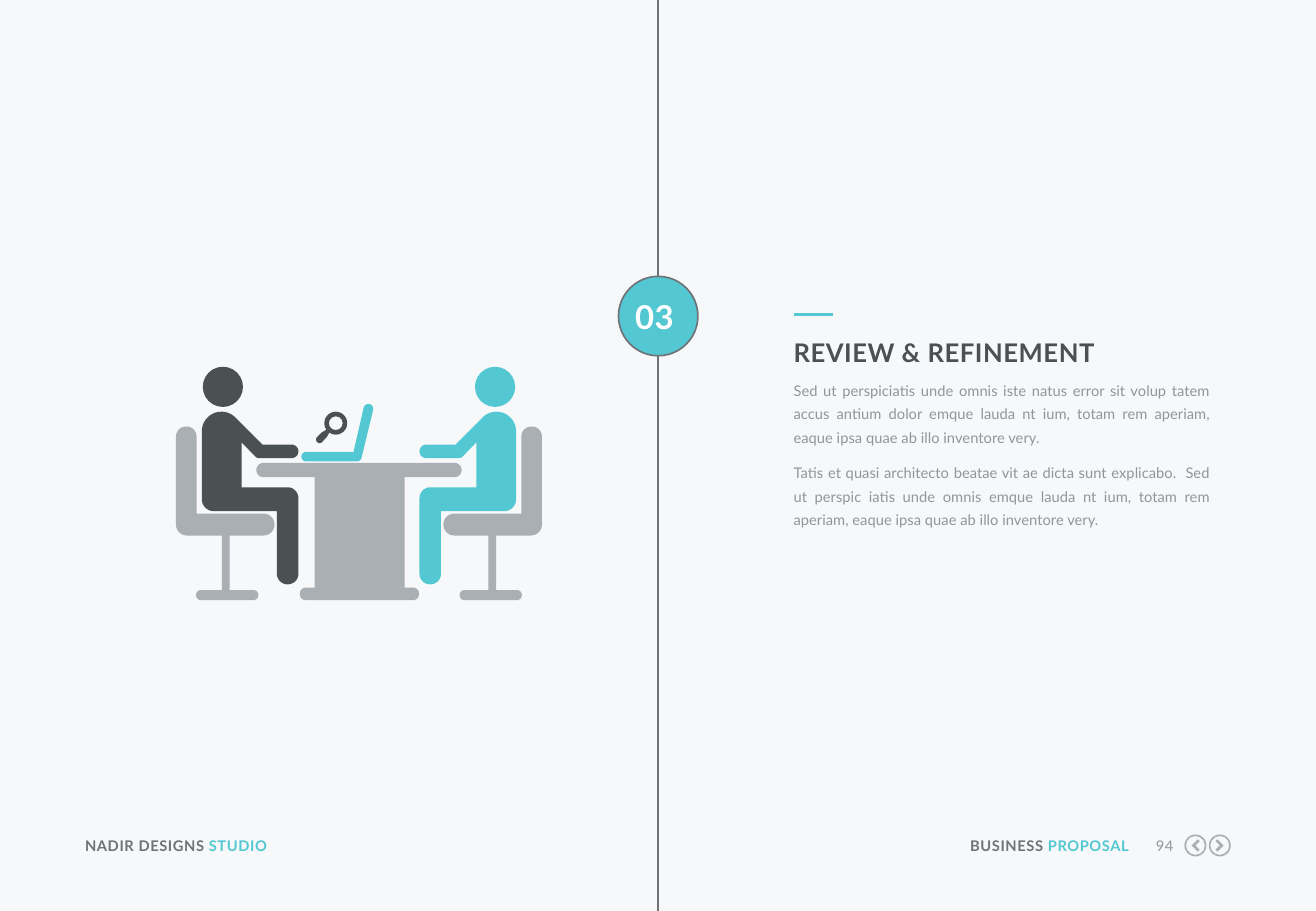
from dataclasses import dataclass
from math import acos, hypot, pi, tan

from lxml.etree import SubElement
from pptx import Presentation
from pptx.dml.color import RGBColor
from pptx.enum.shapes import MSO_CONNECTOR as Connector, MSO_SHAPE as Shape
from pptx.enum.text import MSO_AUTO_SIZE as AutoSize, PP_ALIGN as Align
from pptx.oxml.ns import qn
from pptx.util import Cm, Pt

COLORS = {
    "page": "F6F8FA", "teal": "53C8D2", "dark": "4B5050", "silver": "AAAFB4",
    "slate": "6E7378", "body": "91969B", "white": "FFFFFF",
}
SLIDE_W, SLIDE_H = 27.51, 19.05
SPINE_X = 13.76
MIRROR_SUM = 15.01  # left x + right x of the two facing seats
HEAD_SIZE = 0.84
ICON_SIZE = 0.46

Corner = tuple[float, float, float]  # x, y, rounding radius
Outline = list[Corner]

CHAIR: Outline = [
    (3.68, 8.92, 0.21), (4.11, 8.92, 0.21), (4.11, 10.74, 0), (5.74, 10.74, 0.23),
    (5.74, 11.2, 0.23), (4.8, 11.2, 0), (4.8, 12.34, 0), (5.4, 12.34, 0.1),
    (5.4, 12.55, 0.1), (4.1, 12.55, 0.1), (4.1, 12.34, 0.1), (4.64, 12.34, 0),
    (4.64, 11.2, 0), (3.68, 11.2, 0.23),
]
PERSON: Outline = [
    (4.22, 8.61, 0.41), (4.8, 8.61, 0.41), (5.49, 9.3, 0), (6.24, 9.3, 0.14),
    (6.24, 9.58, 0.14), (5.37, 9.58, 0.1), (5.05, 9.25, 0), (5.05, 10.19, 0),
    (6.24, 10.19, 0.23), (6.24, 12.22, 0.22), (5.79, 12.22, 0.22),
    (5.79, 10.69, 0), (4.22, 10.69, 0.25),
]
TABLE: Outline = [
    (5.36, 9.68, 0.15), (9.65, 9.68, 0.15), (9.65, 9.98, 0.15), (8.46, 9.98, 0),
    (8.46, 12.29, 0), (8.76, 12.29, 0.12), (8.76, 12.55, 0.12), (6.27, 12.55, 0.12),
    (6.27, 12.29, 0.12), (6.58, 12.29, 0), (6.58, 9.98, 0), (5.36, 9.98, 0.15),
]
LAPTOP: Outline = [
    (6.3, 9.45, 0.1), (7.39, 9.45, 0), (7.62, 8.45, 0.1), (7.83, 8.45, 0.1),
    (7.54, 9.65, 0.1), (6.3, 9.65, 0.1),
]
LENS_HANDLE: Outline = [
    (6.73, 9.04, 0), (6.85, 8.97, 0), (6.9, 9.02, 0), (6.83, 9.14, 0),
    (6.68, 9.3, 0.07), (6.58, 9.19, 0.07),
]
CHEVRON: Outline = [
    (-0.09, -0.09, 0), (-0.05, -0.13, 0), (0.08, 0, 0),
    (-0.05, 0.13, 0), (-0.09, 0.09, 0), (0, 0, 0),
]


@dataclass
class Label:
    box: tuple[float, float, float, float]
    paragraphs: list[list[tuple[str, str]]]  # runs as (text, color)
    size: float = 8.7
    bold: bool = True
    tracking: int = 30  # hundredths of a point
    align: Align = Align.LEFT
    leading: float | None = None


LABELS = [
    Label((1.78, 17.5, 5.36, 0.38), [[("NADIR DESIGNS ", "slate"), ("STUDIO", "teal")]]),
    Label((20.12, 17.5, 3.48, 0.38), [[("BUSINESS ", "slate"), ("PROPOSAL", "teal")]],
          align=Align.RIGHT),
    Label((23.9, 17.5, 0.63, 0.38), [[("94", "body")]], bold=False, align=Align.RIGHT),
    Label((13.18, 6.2, 1, 0.84), [[("03", "white")]], size=19.5, tracking=20,
          align=Align.CENTER),
    Label((16.59, 7.04, 8.74, 0.64), [[("REVIEW & REFINEMENT", "dark")]], size=15.2,
          leading=18.4),
    Label((16.59, 7.85, 8.71, 3.25), [
        [("Sed ut perspiciatis unde omnis iste natus error sit volup tatem accus antium "
          "dolor emque lauda nt ium, totam rem aperiam, eaque ipsa quae ab illo "
          "inventore very.", "body")],
        [("Tatis et quasi architecto beatae vit ae dicta sunt explicabo.  Sed ut perspic "
          "iatis unde omnis emque lauda nt ium, totam rem aperiam, eaque ipsa quae ab "
          "illo inventore very.", "body")],
    ], bold=False, tracking=0, align=Align.JUSTIFY, leading=14.1),
]


def rgb(name: str) -> RGBColor:
    return RGBColor.from_string(COLORS[name])


def paint(sp, color: str, line: str | None = None) -> None:
    sp.shadow.inherit = False
    sp.fill.solid()
    sp.fill.fore_color.rgb = rgb(color)
    if line:
        sp.line.color.rgb = rgb(line)
        sp.line.width = Pt(1)
    else:
        sp.line.fill.background()


def round_corners(outline: Outline, steps: int = 10) -> list[tuple[float, float]]:
    """Replace each corner that has a radius by points along its arc."""
    points = []
    for i, (x, y, radius) in enumerate(outline):
        if not radius:
            points.append((x, y))
            continue
        sides = []
        for nx, ny, _ in (outline[i - 1], outline[(i + 1) % len(outline)]):
            length = hypot(nx - x, ny - y)
            sides.append(((nx - x) / length, (ny - y) / length))
        (ax, ay), (bx, by) = sides
        angle = acos(ax * bx + ay * by)
        reach = radius / tan(angle / 2)
        inner = reach - radius * 4 / 3 * tan((pi - angle) / 4)
        for step in range(steps + 1):
            t = step / steps
            u = 1 - t
            a = u ** 3 * reach + 3 * u * u * t * inner
            b = t ** 3 * reach + 3 * t * t * u * inner
            points.append((x + a * ax + b * bx, y + a * ay + b * by))
    return points


def mirror(outline: Outline) -> Outline:
    return [(MIRROR_SUM - x, y, radius) for x, y, radius in outline]


def add_outline(s, outline: Outline, color: str) -> None:
    start, *rest = [(Cm(x), Cm(y)) for x, y in round_corners(outline)]
    builder = s.shapes.build_freeform(*start)
    builder.add_line_segments(rest, close=True)
    paint(builder.convert_to_shape(), color)


def add_round(s, kind: Shape, x: float, y: float, size: float, color: str,
              line: str | None = None, rim: float | None = None) -> None:
    sp = s.shapes.add_shape(kind, Cm(x), Cm(y), Cm(size), Cm(size))
    if rim is not None:
        sp.adjustments[0] = rim
    paint(sp, color, line)


def add_line(s, x1: float, y1: float, x2: float, y2: float, color: str, width: float) -> None:
    line = s.shapes.add_connector(Connector.STRAIGHT, Cm(x1), Cm(y1), Cm(x2), Cm(y2))
    line.line.color.rgb = rgb(color)
    line.line.width = Pt(width)
    SubElement(line._element.spPr, qn("a:effectLst"))


def add_label(s, label: Label) -> None:
    tf = s.shapes.add_textbox(*map(Cm, label.box)).text_frame
    tf.margin_left = tf.margin_top = tf.margin_right = tf.margin_bottom = 0
    tf.word_wrap = True
    tf.auto_size = AutoSize.SHAPE_TO_FIT_TEXT
    for i, runs in enumerate(label.paragraphs):
        p = tf.add_paragraph() if i else tf.paragraphs[0]
        p.alignment = label.align
        if label.leading:
            p.line_spacing = Pt(label.leading)
            p.space_after = Pt(6.5)
        for text, color in runs:
            r = p.add_run()
            r.text = text
            r.font.name = "Lato"
            r.font.size = Pt(label.size)
            r.font.bold = label.bold
            r.font.color.rgb = rgb(color)
            r._r.get_or_add_rPr().set("spc", str(label.tracking))


def add_nav_icon(s, cx: float, cy: float, direction: int) -> None:
    add_round(s, Shape.DONUT, cx - ICON_SIZE / 2, cy - ICON_SIZE / 2, ICON_SIZE,
              "silver", rim=0.07)
    add_outline(s, [(cx + direction * x, cy + y, r) for x, y, r in CHEVRON], "silver")


def add_meeting(s) -> None:
    add_outline(s, LAPTOP, "teal")
    add_outline(s, LENS_HANDLE, "dark")
    add_round(s, Shape.DONUT, 6.78, 8.61, 0.48, "dark", rim=0.2)
    head_x = 4.24
    add_outline(s, mirror(PERSON), "teal")
    add_round(s, Shape.OVAL, MIRROR_SUM - head_x - HEAD_SIZE, 7.67, HEAD_SIZE, "teal")
    add_outline(s, mirror(CHAIR), "silver")
    add_outline(s, PERSON, "dark")
    add_round(s, Shape.OVAL, head_x, 7.67, HEAD_SIZE, "dark")
    add_outline(s, CHAIR, "silver")
    add_outline(s, TABLE, "silver")


def main() -> None:
    prs = Presentation()
    prs.slide_width, prs.slide_height = Cm(SLIDE_W), Cm(SLIDE_H)
    s = prs.slides.add_slide(prs.slide_layouts[6])
    s.background.fill.solid()
    s.background.fill.fore_color.rgb = rgb("page")

    add_nav_icon(s, 24.99, 17.68, -1)
    add_nav_icon(s, 25.5, 17.68, 1)
    badge_top, badge_size = 5.78, 1.66
    add_round(s, Shape.OVAL, SPINE_X - badge_size / 2, badge_top, badge_size, "teal", "slate")
    add_line(s, SPINE_X, 0, SPINE_X, badge_top, "slate", 1)
    add_line(s, SPINE_X, badge_top + badge_size, SPINE_X, SLIDE_H, "slate", 1)
    add_meeting(s)
    add_line(s, 16.59, 6.58, 17.42, 6.58, "teal", 1.5)
    for label in LABELS:
        add_label(s, label)
    prs.save("out.pptx")


if __name__ == "__main__":
    main()
